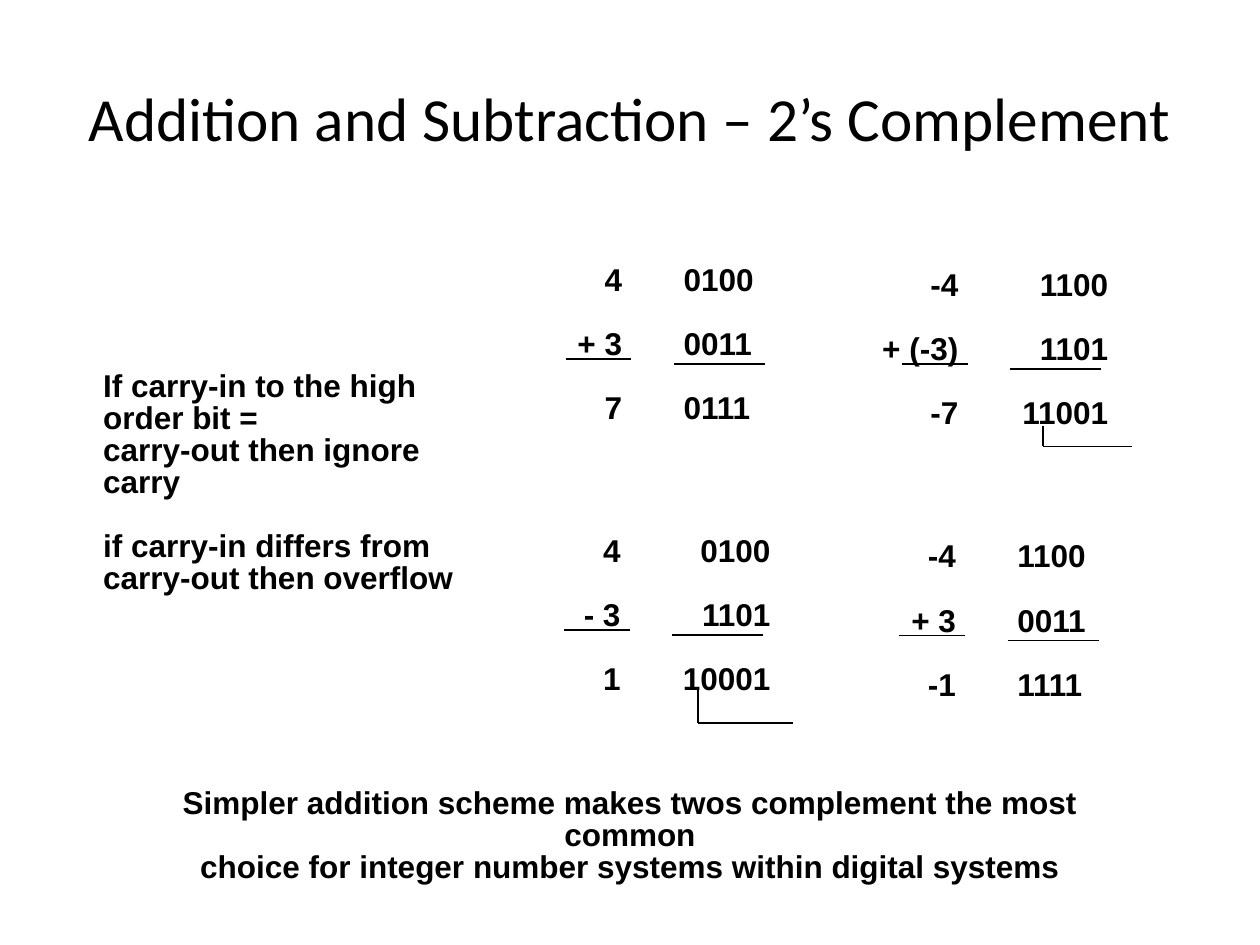
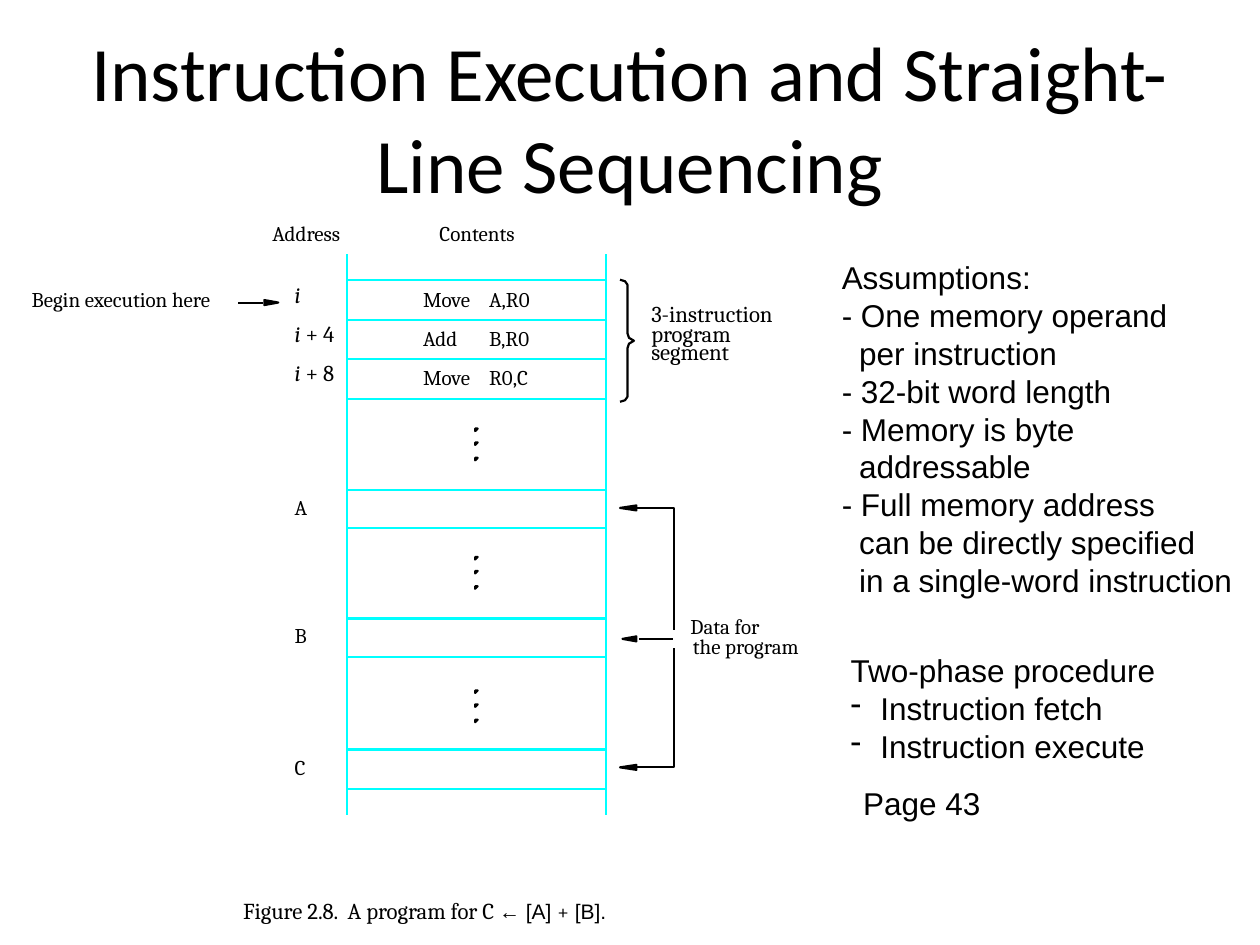
from lxml import etree
from pptx import Presentation
from pptx import util as u
from pptx.dml.color import RGBColor
from pptx.enum import shapes, text
from pptx.oxml.ns import qn

BLACK = RGBColor(0x00, 0x00, 0x00)
CYAN = RGBColor(0x00, 0xFF, 0xFF)
LEFT, CENTER, RIGHT = text.PP_ALIGN.LEFT, text.PP_ALIGN.CENTER, text.PP_ALIGN.RIGHT

TITLE = {"name": "Calibri", "size": u.Pt(44)}
BOLD = {"name": "Arial", "size": u.Pt(18), "bold": True}
NOTE = {"name": "Arial", "size": u.Pt(18)}
LABEL = {"name": "Cambria", "size": u.Pt(12)}
LARGE_LABEL = {"name": "Cambria", "size": u.Pt(13)}
TIGHT = {"line_spacing": 0.85}
ROW_GAP = {**TIGHT, "space_before": u.Pt(18.3)}


def apply(target, values):
    for name, value in values.items():
        setattr(target, name, value)


class Sketch:
    """Holds the deck, its style and the slide being drawn; lengths are in cm."""

    def __init__(self):
        self.deck = Presentation()
        apply(self.deck, {"slide_width": u.Cm(25.4), "slide_height": u.Cm(19.05)})
        self.page = None

    def new_page(self, title, size=TITLE["size"]):
        self.page = self.deck.slides.add_slide(self.deck.slide_layouts[6])
        box = self.text(1.52, 0.89, 22.36, [title], {**TITLE, "size": size}, CENTER, height=2.92)
        box.text_frame.vertical_anchor = text.MSO_ANCHOR.MIDDLE

    def text(self, x, y, width, lines, font, align=LEFT, layout=None, height=0.6):
        """Each line is a string or a list of (string, font changes)."""
        box = self.page.shapes.add_textbox(u.Cm(x), u.Cm(y), u.Cm(width), u.Cm(height))
        frame = box.text_frame
        apply(frame, {"word_wrap": True, "margin_left": 0, "margin_right": 0,
                      "margin_top": 0, "margin_bottom": 0})
        for number, line in enumerate(lines):
            para = frame.add_paragraph() if number else frame.paragraphs[0]
            apply(para, {"alignment": align, **(layout or {})})
            if number == 0:
                para.space_before = u.Pt(0)
            for words, changes in [(line, {})] if isinstance(line, str) else line:
                span = para.add_run()
                span.text = words
                apply(span.font, {**font, **changes})
                span.font.color.rgb = BLACK
        return box

    def indent(self, para, left, bullet=None):
        properties = para._p.get_or_add_pPr()
        properties.set("marL", str(u.Cm(left)))
        if bullet:
            properties.set("indent", str(-u.Cm(left)))
            etree.SubElement(properties, qn("a:buChar")).set("char", bullet)

    def line(self, x1, y1, x2, y2, color=BLACK, weight=1.25):
        line = self.page.shapes.add_connector(
            shapes.MSO_CONNECTOR.STRAIGHT, u.Cm(x1), u.Cm(y1), u.Cm(x2), u.Cm(y2))
        line.line.color.rgb = color
        line.line.width = u.Pt(weight)
        etree.SubElement(line._element.spPr, qn("a:effectLst"))

    def outline(self, points, filled=False):
        corners = [(u.Cm(x), u.Cm(y)) for x, y in points]
        builder = self.page.shapes.build_freeform(*corners[0], scale=1.0)
        builder.add_line_segments(corners[1:], close=filled)
        shape = builder.convert_to_shape()
        shape.shadow.inherit = False
        if filled:
            shape.fill.solid()
            shape.fill.fore_color.rgb = BLACK
        else:
            shape.fill.background()
        shape.line.color.rgb = BLACK
        shape.line.width = u.Pt(1.25)

    def arrowhead(self, x, y, base):
        self.outline([(base, y - 0.05), (x, y), (base, y + 0.05)], filled=True)

    def worked_sum(self, x, y, decimals, bits, bits_align):
        """A decimal sum and its binary form, each underlined before the result."""
        self.text(x - 3.54, y, 2.5, decimals, BOLD, RIGHT, ROW_GAP, 3.2)
        bits_left = x + 0.2 if bits_align == LEFT else x - 0.52
        self.text(bits_left, y, 2.5, bits, BOLD, bits_align, ROW_GAP, 3.2)
        self.line(x - 2.18, y + 1.88, x - 0.85, y + 1.88, weight=1)
        self.line(x, y + 1.98, x + 1.84, y + 1.98, weight=1)

    def carry_mark(self, x, top, bottom, end):
        self.line(x, top, x, bottom, weight=1)
        self.line(x, bottom, end, bottom, weight=1)


def draw_complement(sketch):
    sketch.new_page("Addition and Subtraction – 2’s Complement", u.Pt(35))

    # Four worked sums
    for worked in (
        (13.58, 5.36, ["4", "+ 3", "7"], ["0100", "0011", "0111"], LEFT),
        (20.36, 5.46, ["-4", "+ (-3)", "-7"], ["1100", "1101", "11001"], RIGHT),
        (13.55, 10.82, ["4", "- 3", "1"], ["0100", "1101", "10001"], RIGHT),
        (20.31, 10.93, ["-4", "+ 3", "-1"], ["1100", "0011", "1111"], LEFT),
    ):
        sketch.worked_sum(*worked)
    sketch.carry_mark(21.03, 8.59, 9, 22.83)
    sketch.carry_mark(14.07, 13.87, 14.58, 15.98)

    # Carry rule and conclusion
    rule = sketch.text(2.08, 7.49, 7.6, [
        "If carry-in to the high", "order bit =", "carry-out then ignore", "carry",
        "if carry-in differs from", "carry-out then overflow"], BOLD, layout=TIGHT, height=4.5)
    rule.text_frame.paragraphs[4].space_before = ROW_GAP["space_before"]
    sketch.text(2.5, 15.9, 20.4, [
        "Simpler addition scheme makes twos complement the most common",
        "choice for integer number systems within digital systems"],
        BOLD, CENTER, TIGHT, 1.95)


def draw_sequencing(sketch):
    sketch.new_page("Instruction Execution and Straight-Line Sequencing")

    # Memory column
    left, right = 6.99, 12.22
    for x in (left, right):
        sketch.line(x, 5.13, x, 16.43, CYAN)
    for y in (5.64, 6.45, 7.24, 8.05, 9.88, 10.64, 12.47, 13.24, 15.11, 15.9):
        sketch.line(left, y, right, y, CYAN)
    for top in (8.64, 11.23, 13.92):
        for y in (top, top + 0.28, top + 0.59):
            sketch.outline([(9.58, y), (9.58, y + 0.05), (9.63, y), (9.58, y)])

    # Instructions and their addresses
    program = (("", "Move", "A,R0"), (" + 4", "Add", "B,R0"), (" + 8", "Move", "R0,C"))
    for row, (offset, operation, operands) in enumerate(program):
        shift = 0.79 * row
        address = [("i", {"italic": True})] + ([(offset, {})] if offset else [])
        sketch.text(5.94, 5.66 + shift, 1.05, [address], LARGE_LABEL)
        sketch.text(8.53, 5.77 + shift, 1.3, [operation], LABEL)
        sketch.text(9.86, 5.77 + shift, 1.5, [operands], LABEL)

    # Labels
    for x, y, words, font in (
        (5.49, 4.45, "Address", LABEL),
        (8.86, 4.45, "Contents", LABEL),
        (0.64, 5.77, "Begin execution here", LABEL),
        (5.94, 9.96, "A", LABEL),
        (5.94, 12.55, "B", LABEL),
        (5.94, 15.21, "C", LABEL),
        (13.92, 12.37, "Data for", LABEL),
        (13.97, 12.78, "the program", LABEL),
        (13.13, 6.05, "3-instruction", LARGE_LABEL),
        (13.13, 6.45, "program", LARGE_LABEL),
        (13.13, 6.81, "segment", LARGE_LABEL),
    ):
        sketch.text(x, y, 4.2, [words], font)

    # Brace around the program segment
    middle = 6.87
    half = [(12.5, 1.23), (12.6, 1.2), (12.65, 1.13), (12.65, 0.15), (12.68, 0.06)]
    sketch.outline([(x, middle - rise) for x, rise in half] + [(12.78, middle)]
                   + [(x, middle + rise) for x, rise in reversed(half)])

    # Arrows
    sketch.line(4.8, 6.1, 5.31, 6.1)
    sketch.arrowhead(5.61, 6.1, 5.33)
    sketch.line(12.88, 12.88, 13.56, 12.88)
    sketch.arrowhead(12.55, 12.88, 12.83)
    for y, end in ((10.24, 12.7), (15.47, 13.06)):
        sketch.outline([(12.83, y), (13.59, y), (13.59, end)])
        sketch.arrowhead(12.5, y, 12.83)

    # Caption
    arial = {"name": "Arial", "size": u.Pt(12)}
    sketch.text(4.9, 18.08, 9, [[
        ("Figure 2.8.  A program for C ", {}), ("← [Α] ", arial),
        ("+", {"size": u.Pt(12)}), (" [Β].", arial)]], LARGE_LABEL)

    # Notes beside the diagram
    assumptions = sketch.text(16.97, 5.21, 8.2, [
        "Assumptions:", "- One memory operand", "per instruction",
        "- 32-bit word length", "- Memory is byte", "addressable",
        "- Full memory address", "can be directly specified",
        "in a single-word instruction"], NOTE, height=6.86)
    for para in assumptions.text_frame.paragraphs[1:]:
        if not para.text.startswith("-"):
            sketch.indent(para, 0.35)
    phases = sketch.text(17.15, 13.13, 7, [
        "Two-phase procedure", "Instruction fetch", "Instruction execute"], NOTE, height=2.3)
    for para in phases.text_frame.paragraphs[1:]:
        sketch.indent(para, 0.6, "-")
    sketch.text(17.4, 15.8, 3.3, ["Page 43"], NOTE, height=0.76)


def main():
    sketch = Sketch()
    draw_complement(sketch)
    draw_sequencing(sketch)
    sketch.deck.save("out.pptx")


if __name__ == "__main__":
    main()
